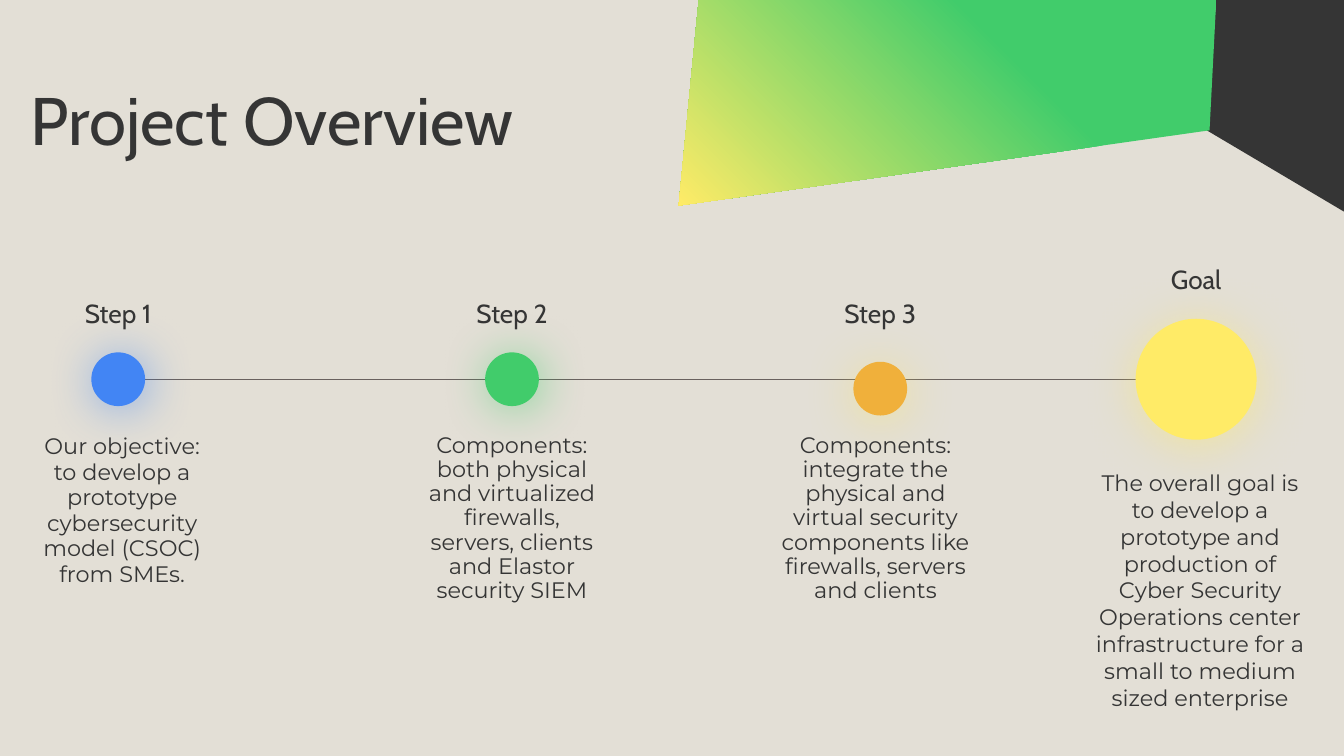
from lxml.etree import SubElement
from copy import deepcopy
from pptx import Presentation
from pptx.dml.color import RGBColor
from pptx.enum.shapes import MSO_CONNECTOR, MSO_SHAPE
from pptx.enum.text import MSO_ANCHOR, PP_ALIGN
from pptx.oxml.ns import qn
from pptx.util import Inches, Pt

COLORS = {
    "background": "E3DFD6", "dark": "353535", "line": "69615E", "blue": "4285F4",
    "green": "41CC6B", "orange": "F0B03B", "yellow": "FFEB67",
}

deck = Presentation()
deck.slide_width = Inches(10)
deck.slide_height = deck.slide_width * 9 // 16
COL = deck.slide_width / 100  # 100 columns
ROW = COL  # square grid cells
slide = deck.slides.add_slide(deck.slide_layouts[6])
slide.background.fill.solid()
slide.background.fill.fore_color.rgb = RGBColor.from_string(COLORS["background"])


def cells(left, top, width, height):
    """Turn columns and rows into slide lengths."""
    return [round(left * COL), round(top * ROW), round(width * COL), round(height * ROW)]


def add_text(text, box, size=12, font="Montserrat", align=PP_ALIGN.CENTER, spacing=1.0):
    frame = slide.shapes.add_textbox(*cells(*box)).text_frame
    frame.word_wrap = True
    frame.vertical_anchor = MSO_ANCHOR.TOP
    frame.margin_left = frame.margin_right = Inches(0.1)
    frame.margin_top = frame.margin_bottom = Inches(0.1)
    paragraph = frame.paragraphs[0]
    paragraph.text = text
    paragraph.alignment = align
    paragraph.line_spacing = spacing
    paragraph.font.size = Pt(size)
    paragraph.font.name = font
    paragraph.font.color.rgb = RGBColor.from_string(COLORS["dark"])


# Corner decoration in tenths of a column: a dark panel and a green one fading to yellow
panels = []
for corners in (
    [(898, 97), (1001, 158), (1001, -1), (905, -1)],
    [(520, -1), (505, 153), (900, 97), (905, 0)],
):
    outline = slide.shapes.build_freeform(*corners[0], scale=COL / 10)
    outline.add_line_segments(corners[1:], close=True)
    panel = outline.convert_to_shape()
    panel.shadow.inherit = False
    panel.line.fill.background()
    panels.append(panel)
dark_panel, green_panel = panels
dark_panel.fill.solid()
dark_panel.fill.fore_color.rgb = RGBColor.from_string(COLORS["dark"])

green_panel.fill.gradient()
green_panel.fill.gradient_angle = 225
stop_list = next(green_panel.element.spPr.iter(qn("a:gsLst")))
stop_list.insert(1, deepcopy(stop_list[0]))
fade = [(0, "green"), (0.35, "green"), (1, "yellow")]
for stop, (position, color) in zip(green_panel.fill.gradient_stops, fade):
    stop.position = position
    stop.color.rgb = RGBColor.from_string(COLORS[color])

add_text("Project Overview", (1.3, 5.5, 63.7, 7.5), size=36, font="Cabin",
         align=PP_ALIGN.LEFT, spacing=0.9)

# Timeline
AXIS = 28.22
timeline = slide.shapes.add_connector(
    MSO_CONNECTOR.STRAIGHT, *cells(7.5, AXIS, 91.5, AXIS))
timeline.line.color.rgb = RGBColor.from_string(COLORS["line"])
timeline.line.width = Pt(0.75)
SubElement(timeline.element.spPr, qn("a:effectLst"))

soft_glow = {"alpha": 56, "blur": 25.9, "distance": 2.2, "angle": 45}
low_glow = {"alpha": 50, "blur": 27, "distance": 3, "angle": 90}

# label, centre column, label top, dot size, dot centre row, dot colour, glow colour,
# glow, (description left, top, width, height), line spacing, description
milestones = [
    ("Step 1", 8.8, 21.1, 4, AXIS, "blue", "blue", soft_glow,
     (1.6, 31.3, 15, 11.6), 0.95,
     "Our objective: to develop a prototype cybersecurity model (CSOC) from SMEs."),
    ("Step 2", 38.1, 21.1, 4, AXIS, "green", "green", soft_glow,
     (30.6, 31.3, 15, 11.6), 0.9,
     "Components: both physical and virtualized firewalls, servers, clients and "
     "Elastor security SIEM"),
    ("Step 3", 65.5, 21.1, 4, AXIS + 0.7, "orange", "yellow", low_glow,
     (56.5, 31.3, 17.3, 11.6), 0.9,
     "Components: integrate the physical and virtual security components like "
     "firewalls, servers and clients"),
    ("Goal", 89, 18.6, 9, AXIS, "yellow", "yellow", low_glow,
     (80.3, 33.9, 18, 15.7), 1.0,
     "The overall goal is to develop a prototype and production of Cyber Security "
     "Operations center infrastructure for a small to medium sized enterprise"),
]

for (label, center, label_top, size, dot_row, color, glow_color, glow,
     description_box, spacing, description) in milestones:
    dot = slide.shapes.add_shape(
        MSO_SHAPE.OVAL, *cells(center - size / 2, dot_row - size / 2, size, size))
    dot.fill.solid()
    dot.fill.fore_color.rgb = RGBColor.from_string(COLORS[color])
    dot.line.fill.background()
    dot.shadow.inherit = False
    shadow = SubElement(
        dot.element.spPr.find(qn("a:effectLst")), qn("a:outerShdw"),
        blurRad=str(Pt(glow["blur"])), dist=str(Pt(glow["distance"])),
        dir=str(glow["angle"] * 60000), algn="bl", rotWithShape="0")
    tint = SubElement(shadow, qn("a:srgbClr"), val=COLORS[glow_color])
    SubElement(tint, qn("a:alpha"), val=str(glow["alpha"] * 1000))

    add_text(label, (center - 4.5, label_top, 9, 4), size=14, font="Cabin")
    add_text(description, description_box, spacing=spacing)

deck.save("out.pptx")
